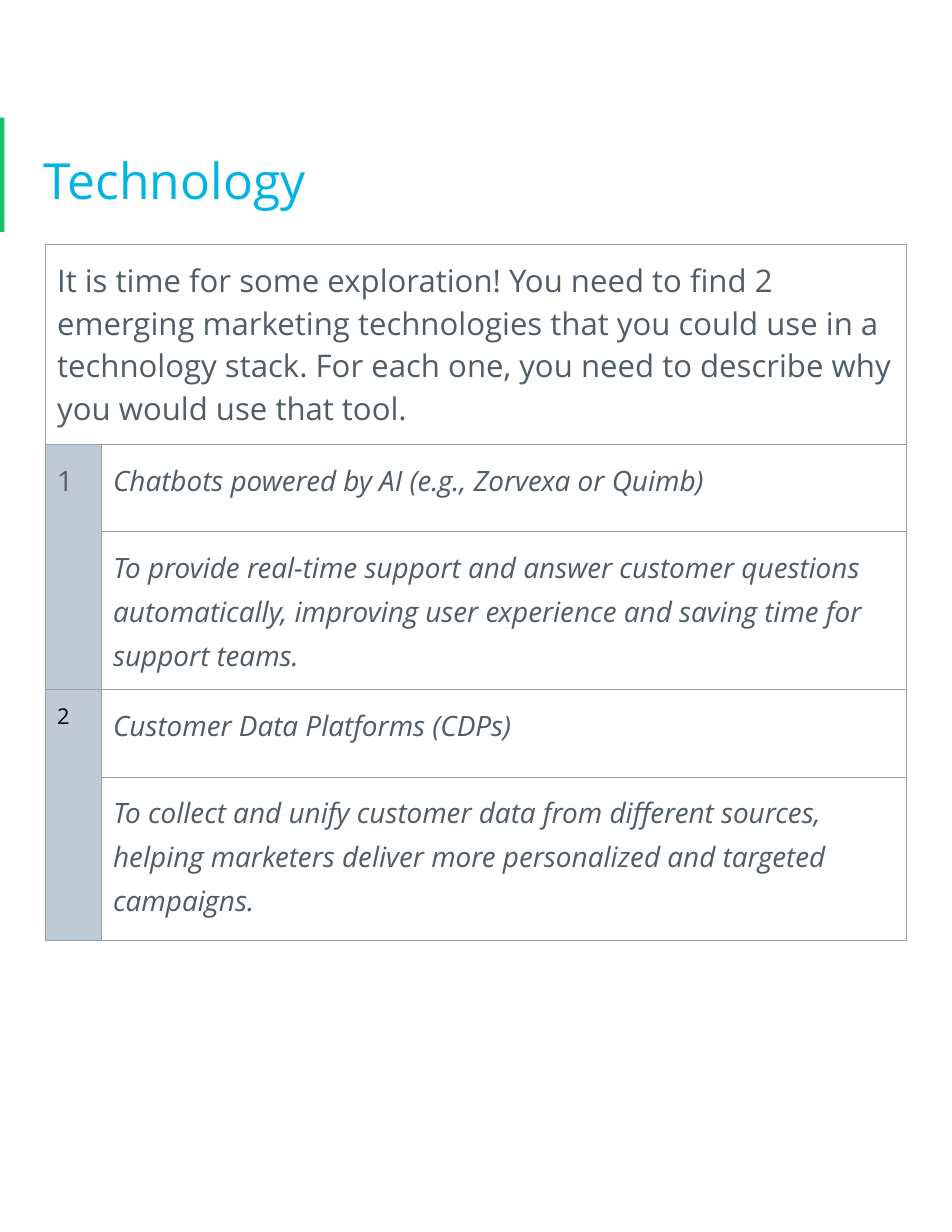
import pptx
import pptx.util
import pptx.dml.color
import pptx.enum.shapes
import pptx.enum.text
import lxml.etree

HUES = {"green": "15C26B", "blue": "02B3E4", "gray": "525C65",
        "pale": "BECBD6", "line": "9E9E9E", "black": "000000"}
FACE = "Open Sans"
COLS = [0.5, 7.18]
ROWS = [1.79, 0.78, 1.41, 0.78, 1.46]
INTRO = ("It is time for some exploration! You need to find 2 emerging marketing "
         "technologies that you could use in a technology stack. For each one, "
         "you need to describe why you would use that tool.")
TOOLS = [
    ("Chatbots powered by AI (e.g., Zorvexa or Quimb)",
     "To provide real-time support and answer customer questions automatically, "
     "improving user experience and saving time for support teams."),
    ("Customer Data Platforms (CDPs)",
     "To collect and unify customer data from different sources, helping marketers "
     "deliver more personalized and targeted campaigns."),
]


def color(name):
    """Return the named color."""
    return pptx.dml.color.RGBColor.from_string(HUES[name])


def inset(item):
    """Give a cell or text frame equal margins."""
    for side in ("left", "top", "right", "bottom"):
        setattr(item, f"margin_{side}", pptx.util.Inches(0.1))


def write(frame, text, size, hue="gray", slant=False, lead=None, after=0):
    """Write one styled paragraph."""
    frame.text = text
    para = frame.paragraphs[0]
    para.alignment = pptx.enum.text.PP_ALIGN.LEFT
    para.line_spacing = lead
    para.space_after = pptx.util.Pt(after)
    para.font.name = FACE
    para.font.size = pptx.util.Pt(size)
    para.font.italic = slant
    para.font.color.rgb = color(hue)


def add_title(slide):
    """Place the title."""
    title = slide.shapes.title
    title.left, title.top, title.width, title.height = map(
        pptx.util.Inches, (0.29, 0.95, 7.92, 1.22))
    frame = title.text_frame
    inset(frame)
    frame.word_wrap = True
    frame.auto_size = pptx.enum.text.MSO_AUTO_SIZE.NONE
    frame.vertical_anchor = pptx.enum.text.MSO_ANCHOR.MIDDLE
    write(frame, "Technology", 32, "blue", lead=1.15)


def add_bar(slide):
    """Draw the accent bar at the left edge."""
    bar = slide.shapes.add_shape(
        pptx.enum.shapes.MSO_SHAPE.RECTANGLE,
        *map(pptx.util.Inches, (0, 1.05, 0.04, 1.02)))
    bar.shadow.inherit = False
    bar.fill.solid()
    bar.fill.fore_color.rgb = color("green")
    bar.line.fill.background()


def frame_cell(cell):
    """Give a cell margins, thin borders and no fill."""
    inset(cell)
    props = cell._tc.get_or_add_tcPr()
    for side in "LRTB":
        line = lxml.etree.SubElement(
            props, pptx.oxml.ns.qn(f"a:ln{side}"), w=str(pptx.util.Pt(0.75)))
        fill = lxml.etree.SubElement(line, pptx.oxml.ns.qn("a:solidFill"))
        lxml.etree.SubElement(fill, pptx.oxml.ns.qn("a:srgbClr"), val=HUES["line"])
    cell.fill.background()


def add_grid(slide):
    """Build the bordered table without a banded style."""
    grid = slide.shapes.add_table(
        len(ROWS), len(COLS),
        *map(pptx.util.Inches, (0.41, 2.18, sum(COLS), sum(ROWS)))).table
    grid.first_row = grid.horz_banding = False
    for col, width in zip(grid.columns, COLS):
        col.width = pptx.util.Inches(width)
    for row, height in zip(grid.rows, ROWS):
        row.height = pptx.util.Inches(height)
    for cell in grid.iter_cells():
        frame_cell(cell)
    return grid


def fill_grid(grid):
    """Write the task and the numbered tools."""
    head = grid.cell(0, 0)
    head.merge(grid.cell(0, 1))
    head.vertical_anchor = pptx.enum.text.MSO_ANCHOR.MIDDLE
    write(head.text_frame, INTRO, 20, after=16)
    marks = [dict(size=18, lead=1.15, after=16), dict(size=14, hue="black")]
    for i, (tool, mark) in enumerate(zip(TOOLS, marks)):
        row = 1 + 2 * i
        label = grid.cell(row, 0)
        label.merge(grid.cell(row + 1, 0))
        label.fill.solid()
        label.fill.fore_color.rgb = color("pale")
        write(label.text_frame, str(i + 1), **mark)
        for j, text in enumerate(tool):
            write(grid.cell(row + j, 1).text_frame, text, 18,
                  slant=True, lead=1.15, after=16)


def main():
    """Build and save the slide."""
    deck = pptx.Presentation()
    deck.slide_width = pptx.util.Inches(8.5)
    deck.slide_height = pptx.util.Inches(11)
    slide = deck.slides.add_slide(deck.slide_layouts[5])
    add_bar(slide)
    add_title(slide)
    fill_grid(add_grid(slide))
    deck.save("out.pptx")


if __name__ == "__main__":
    main()
